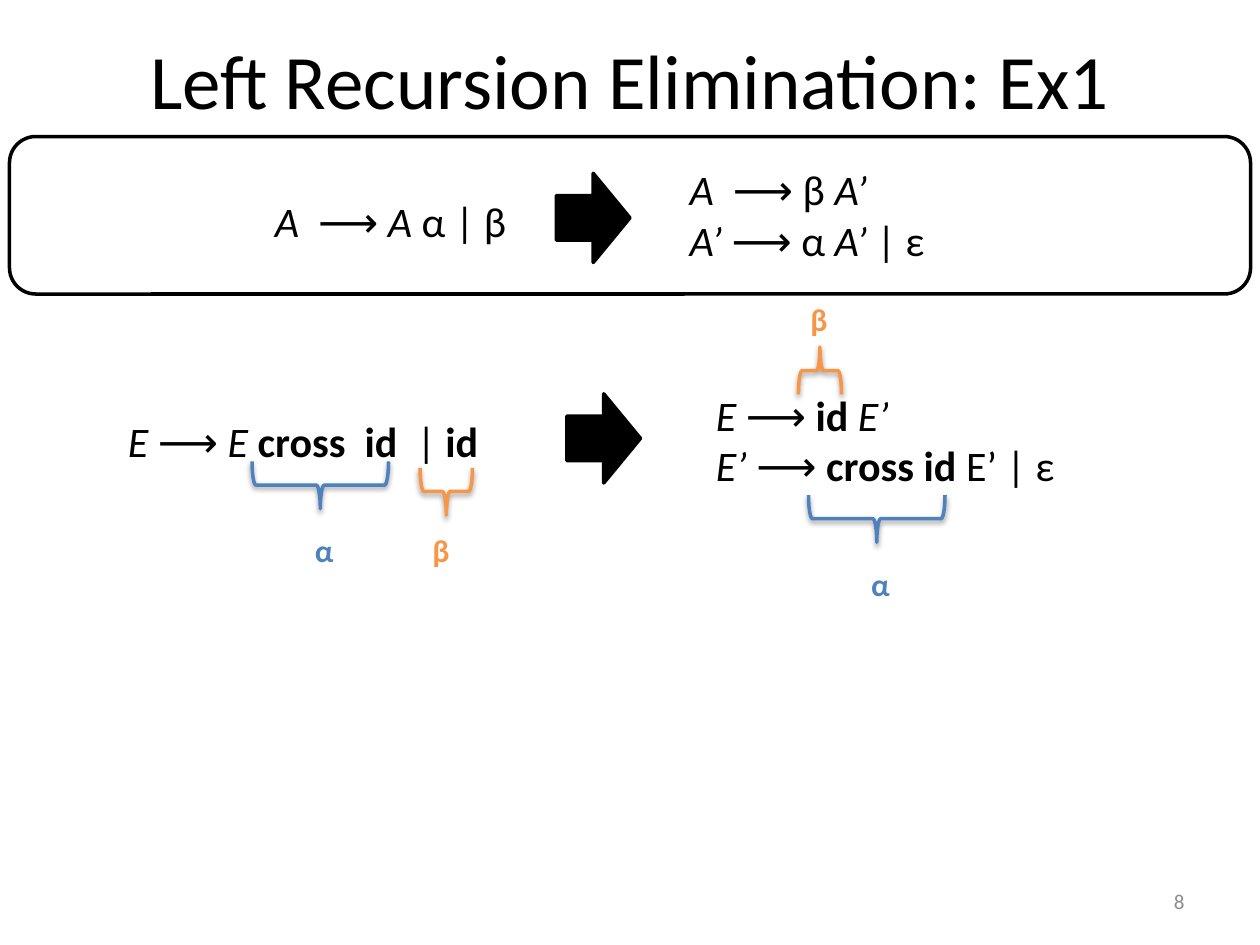
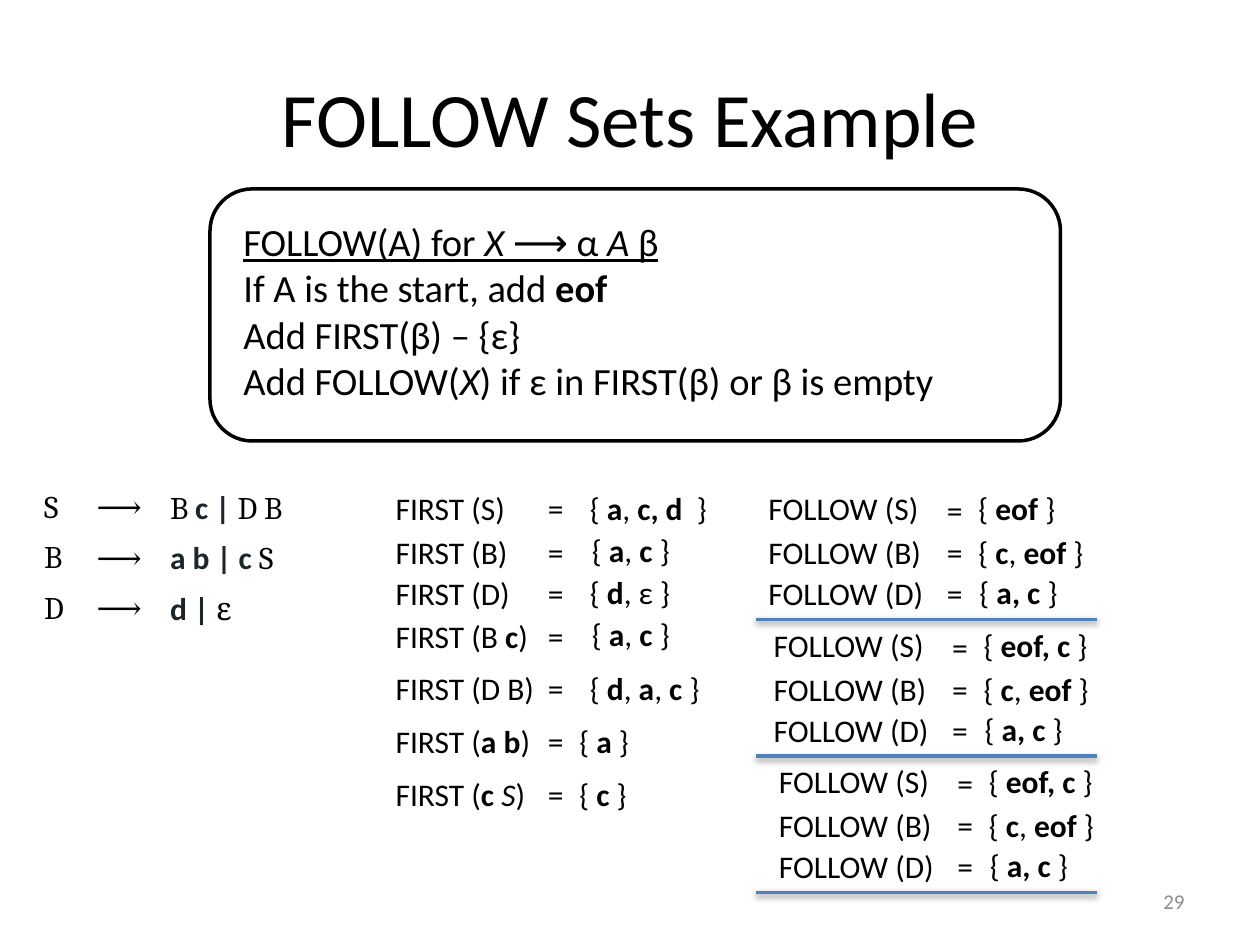
from typing import NamedTuple, Optional

from lxml import etree
from pptx import Presentation
from pptx.dml.color import RGBColor
from pptx.enum.shapes import MSO_CONNECTOR, MSO_SHAPE
from pptx.enum.text import MSO_ANCHOR, PP_ALIGN
from pptx.oxml.ns import qn
from pptx.util import Emu, Inches, Pt

CELL = Inches(1) / 12  # the slide is a grid of 120 columns by 90 rows
COLUMNS, ROWS = 120, 90
BLACK, WHITE, GRAY, INK = "000000", "FFFFFF", "8C8C8C", "1B252A"
ALPHA_BLUE, BETA_ORANGE = "4F81BD", "F79646"
LINE_HEIGHT = 4.8
TOGGLES = {"*": "bold", "_": "italic", "~": "underline"}


class Area(NamedTuple):
    col: float
    row: float
    cols: float
    rows: float = LINE_HEIGHT


class Face(NamedTuple):
    size: int
    color: str = BLACK
    font: str = "Calibri"


class Brace(NamedTuple):
    """A brace around its centre, with the Greek letter it stands for."""
    symbol: str
    color: str
    col: float
    row: float
    span: float
    rotation: int
    label_col: float
    label_row: float


class FirstSet(NamedTuple):
    name: str
    name_cols: float
    row: float
    members: str
    set_col: float
    set_row: float
    set_cols: float


class FollowSet(NamedTuple):
    name: str
    name_cols: float
    row: float
    equals_row: float
    set_col: float
    set_row: float


TITLE, BODY, RULES, TERM, PAGE = Face(44), Face(24), Face(22), Face(18), Face(12, GRAY)

BRACES = [
    Brace("β", BETA_ORANGE, 42.5, 46.8, 5, 90, 40, 50),
    Brace("α", ALPHA_BLUE, 30.5, 46.2, 13, 90, 28.8, 50),
    Brace("α", ALPHA_BLUE, 83.5, 49.4, 13, 90, 81.8, 53.2),
    Brace("β", BETA_ORANGE, 78.1, 35.3, 4.1, 270, 76, 28),
]
PRODUCTIONS = {
    Area(25, 18, 24.5, 6): ["_A_  ⟶ _A _α | β"],
    Area(64.5, 15, 28.5, 11): ["_A_  ⟶ β _A’_", "_A’ _⟶ α _A’ _| ε"],
    Area(11, 39, 38, 6): ["_E_ ⟶ _E _*cross  id  *| *id*"],
    Area(67, 36.5, 42, 11): ["_E_ ⟶ *id *_E’_", "_E’ _⟶ *cross id* E’ | ε"],
}
FOLLOW_RULES = [
    "~FOLLOW(A) for _X_ ⟶ α _A_ β~",
    "If A is the start, add *eof*",
    "Add FIRST(β) – {ε}",
    "Add FOLLOW(_X_) if ε in FIRST(β) or β is empty",
]
GRAMMAR = [("S", "B *c | *D B"), ("B", "*a b | c *S"), ("D", "*d | *ε")]
GRAMMAR_COLUMNS = (5, 7, 16)
FIRST_SETS = [
    FirstSet("S", 13, 46, "{ *a*, *c, d * }", 55, 46, 14.4),
    FirstSet("B", 13.2, 50.2, "{ *a*, *c* }", 55.2, 50, 10.6),
    FirstSet("D", 13.4, 54.1, "{ *d*, ε }", 55, 54, 10.8),
    FirstSet("B *c*", 15.1, 58.2, "{ *a*, *c* }", 55.2, 58, 10.6),
    FirstSet("D B", 15.7, 63.1, "{ *d*,* a*,* c* }", 55, 63.1, 13.7),
    FirstSet("*a b*", 15.4, 68.2, "{ *a* }", 54, 68.2, 7.9),
    FirstSet("*c *_S_", 14.9, 73.2, "{ *c* }", 54, 73.2, 7.7),
]
FOLLOW_SETS = [
    FollowSet("S", 16.9, 0, 0.2, 20, 0),
    FollowSet("B", 17.2, 4.2, 4.2, 20, 4.2),
    FollowSet("D", 17.4, 8.1, 8.1, 20.1, 8),
]
# Each pass lists the members of S, B and D with the width they take.
C_AND_EOF, A_AND_C = ("{ *c*, *eof* }", 12.5), ("{ *a, c* }", 10.7)
LATER_PASS = [("{ *eof, c *}", 13.1), C_AND_EOF, A_AND_C]
FOLLOW_PASSES = [[("{ *eof *}", 10.6), C_AND_EOF, A_AND_C], LATER_PASS, LATER_PASS]
PASS_ROWS, PASS_INDENT = 13, 0.5


def grid(count: float) -> Emu:
    return Emu(round(count * CELL))


def place(area: Area) -> list[Emu]:
    return [grid(count) for count in area]


def rgb(color: str) -> RGBColor:
    return RGBColor.from_string(color)


def write(paragraph, marked: str, face: Face, bold_face: Optional[Face] = None) -> None:
    """Add runs; * toggles bold, _ italic and ~ underline."""
    active: set[str] = set()
    pending = ""

    def flush() -> None:
        if not pending:
            return
        used = bold_face if bold_face and "bold" in active else face
        run = paragraph.add_run()
        run.text = pending
        run.font.size, run.font.name = Pt(used.size), used.font
        run.font.color.rgb = rgb(used.color)
        for trait in active:
            setattr(run.font, trait, True)

    for letter in marked:
        if letter in TOGGLES:
            flush()
            pending = ""
            active ^= {TOGGLES[letter]}
        else:
            pending += letter
    flush()


def add_text(slide, area: Area, lines: list[str], face: Face, wrap: bool = True,
             anchor=MSO_ANCHOR.TOP, align=PP_ALIGN.LEFT) -> None:
    frame = slide.shapes.add_textbox(*place(area)).text_frame
    frame.word_wrap, frame.vertical_anchor = wrap, anchor
    for index, line in enumerate(lines):
        paragraph = frame.add_paragraph() if index else frame.paragraphs[0]
        paragraph.alignment = align
        write(paragraph, line, face)


def add_term(slide, col: float, row: float, cols: float, marked: str,
             face: Face = TERM) -> None:
    add_text(slide, Area(col, row, cols), [marked], face, wrap=False)


def add_soft_shadow(drawn) -> None:
    """Append the shadow; the line must be set before."""
    effects = etree.SubElement(drawn._element.spPr, qn("a:effectLst"))
    shadow = etree.SubElement(effects, qn("a:outerShdw"), blurRad="40000",
                              dist="20000", dir="5400000", rotWithShape="0")
    color = etree.SubElement(shadow, qn("a:srgbClr"), val=BLACK)
    etree.SubElement(color, qn("a:alpha"), val="38000")


def set_line(drawn, color: str) -> None:
    drawn.line.color.rgb = rgb(color)
    drawn.line.width = Pt(2)


def add_outlined(slide, preset, area: Area, fill: str) -> None:
    outlined = slide.shapes.add_shape(preset, *place(area))
    outlined.shadow.inherit = False
    outlined.fill.solid()
    outlined.fill.fore_color.rgb = rgb(fill)
    set_line(outlined, BLACK)


def add_brace(slide, brace: Brace) -> None:
    depth = 4.5
    area = Area(brace.col - depth / 2, brace.row - brace.span / 2, depth, brace.span)
    bracket = slide.shapes.add_shape(MSO_SHAPE.RIGHT_BRACE, *place(area))
    bracket.rotation = brace.rotation
    bracket.fill.background()
    set_line(bracket, brace.color)
    add_soft_shadow(bracket)
    add_term(slide, brace.label_col, brace.label_row, 4.1, f"*{brace.symbol}*",
             Face(18, brace.color))


def add_rule(slide, row: float) -> None:
    rule = slide.shapes.add_connector(MSO_CONNECTOR.STRAIGHT, grid(72), grid(row),
                                      grid(104.5), grid(row))
    set_line(rule, ALPHA_BLUE)
    add_soft_shadow(rule)


def add_slide(deck, box: Area, title: str, title_area: Area, number: int):
    """Start a slide with its framed box, title and page number."""
    slide = deck.slides.add_slide(deck.slide_layouts[6])
    add_outlined(slide, MSO_SHAPE.ROUNDED_RECTANGLE, box, WHITE)
    add_text(slide, title_area, [title], TITLE, anchor=MSO_ANCHOR.MIDDLE,
             align=PP_ALIGN.CENTER)
    add_text(slide, Area(86, 83.4, 28), [str(number)], PAGE, anchor=MSO_ANCHOR.MIDDLE,
             align=PP_ALIGN.RIGHT)
    return slide


def add_grammar(slide) -> None:
    area = Area(3, 46, sum(GRAMMAR_COLUMNS), LINE_HEIGHT * len(GRAMMAR))
    table = slide.shapes.add_table(len(GRAMMAR), len(GRAMMAR_COLUMNS), *place(area)).table
    table.first_row = table.horz_banding = False
    for column, cols in zip(table.columns, GRAMMAR_COLUMNS):
        column.width = grid(cols)
    symbol_face = Face(18, font="Cambria")
    arrow_face = Face(18, font="Times New Roman")
    for row, (head, body) in zip(table.rows, GRAMMAR):
        row.height = grid(LINE_HEIGHT)
        parts = ((head, symbol_face), ("⟶", arrow_face), (body, symbol_face))
        for cell, (marked, face) in zip(row.cells, parts):
            cell.fill.background()
            cell.vertical_anchor = MSO_ANCHOR.MIDDLE
            write(cell.text_frame.paragraphs[0], marked, face, Face(18, INK))


def add_first_sets(slide) -> None:
    for first in FIRST_SETS:
        add_term(slide, 36.5, first.row, first.name_cols, f"FIRST ({first.name})")
        add_term(slide, 51, first.row, 4, "=")
        add_term(slide, first.set_col, first.set_row, first.set_cols, first.members)


def add_follow_passes(slide) -> None:
    for index, members_of in enumerate(FOLLOW_PASSES):
        col, top = 72 + index * PASS_INDENT, 46 + index * PASS_ROWS
        for follow, (members, set_cols) in zip(FOLLOW_SETS, members_of):
            add_term(slide, col, top + follow.row, follow.name_cols,
                     f"FOLLOW ({follow.name})")
            add_term(slide, col + 17, top + follow.equals_row, 4, "=")
            add_term(slide, col + follow.set_col, top + follow.set_row, set_cols, members)
        add_rule(slide, top + PASS_ROWS)


def build_left_recursion(deck) -> None:
    slide = add_slide(deck, Area(0.9, 13, 118.2, 15), "Left Recursion Elimination: Ex1",
                      Area(4, 0, 112, 15), 8)
    for area, lines in PRODUCTIONS.items():
        add_text(slide, area, lines, BODY)
    for col, row in ((53, 16.5), (54, 37.5)):
        add_outlined(slide, MSO_SHAPE.RIGHT_ARROW, Area(col, row, 7, 8.5), BLACK)
    for brace in BRACES:
        add_brace(slide, brace)


def build_follow_sets(deck) -> None:
    slide = add_slide(deck, Area(20, 18, 81, 24), "FOLLOW Sets Example",
                      Area(6, 3.6, 108, 15), 29)
    add_text(slide, Area(22, 20.2, 79, 19), FOLLOW_RULES, RULES)
    add_grammar(slide)
    add_first_sets(slide)
    add_follow_passes(slide)


def main() -> None:
    deck = Presentation()
    deck.slide_width, deck.slide_height = grid(COLUMNS), grid(ROWS)
    build_left_recursion(deck)
    build_follow_sets(deck)
    deck.save("out.pptx")


if __name__ == "__main__":
    main()
